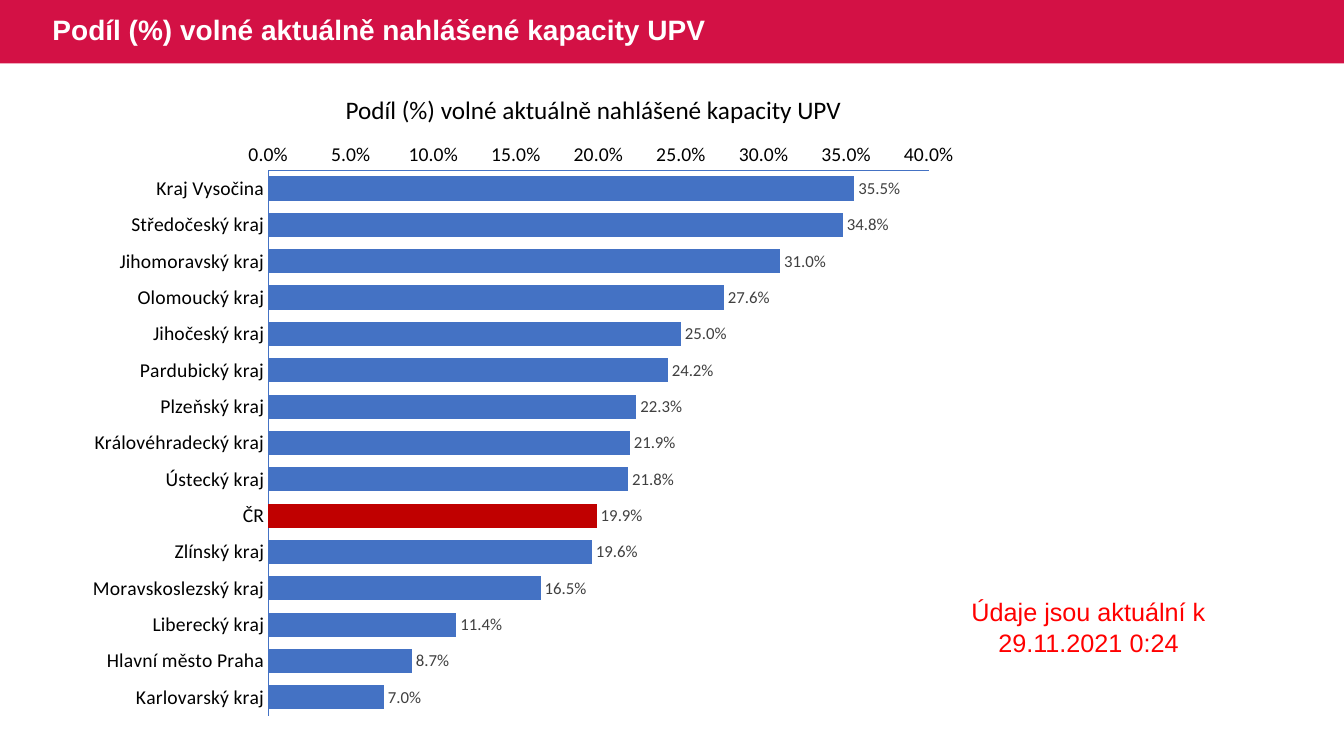
"""Build a slide showing the free reported UPV capacity by Czech region."""
from lxml import etree
from pptx import Presentation
from pptx.chart.data import CategoryChartData
from pptx.dml.color import RGBColor
from pptx.enum.chart import XL_CHART_TYPE as ChartType, XL_LABEL_POSITION as LabelPosition
from pptx.enum.chart import XL_TICK_MARK as TickMark
from pptx.enum.shapes import MSO_SHAPE as Shape
from pptx.enum.text import MSO_ANCHOR as Anchor, MSO_AUTO_SIZE as AutoSize, PP_ALIGN as Align
from pptx.oxml.ns import qn
from pptx.util import Inches, Pt

CRIMSON = RGBColor(0xD3, 0x11, 0x45)
WHITE = RGBColor(0xFF, 0xFF, 0xFF)
BLACK = RGBColor(0, 0, 0)
BLUE = RGBColor(0x44, 0x72, 0xC4)
DARK_RED = RGBColor(0xC0, 0, 0)
RED = RGBColor(0xFF, 0, 0)
GREY = RGBColor(0x40, 0x40, 0x40)

HEADING = "Podíl (%) volné aktuálně nahlášené kapacity UPV"
COUNTRY = "ČR"
FREE_SHARES = {
    "Kraj Vysočina": 0.355,
    "Středočeský kraj": 0.348,
    "Jihomoravský kraj": 0.31,
    "Olomoucký kraj": 0.276,
    "Jihočeský kraj": 0.25,
    "Pardubický kraj": 0.242,
    "Plzeňský kraj": 0.223,
    "Královéhradecký kraj": 0.219,
    "Ústecký kraj": 0.218,
    COUNTRY: 0.199,
    "Zlínský kraj": 0.196,
    "Moravskoslezský kraj": 0.165,
    "Liberecký kraj": 0.114,
    "Hlavní město Praha": 0.087,
    "Karlovarský kraj": 0.07,
}


class SlideBuilder:
    """Hold the fonts and the current slide, and add styled elements to it."""

    text_font = "Arial"
    chart_font = "Calibri"
    percent = "0.0%"

    def __init__(self, slide):
        """Keep the slide that receives the elements."""
        self.slide = slide

    def style(self, font, name, size, color, bold=False):
        """Set the typeface, size, colour and weight of a font."""
        font.name, font.size, font.bold = name, Pt(size), bold
        font.color.rgb = color

    def title(self, text, box):
        """Place and format the title placeholder."""
        heading = self.slide.shapes.title
        heading.left, heading.top, heading.width, heading.height = map(Inches, box)
        frame = heading.text_frame
        frame.auto_size = AutoSize.NONE
        frame.vertical_anchor = Anchor.MIDDLE
        line = frame.paragraphs[0]
        line.alignment, line.line_spacing = Align.LEFT, 0.9
        run = line.add_run()
        run.text = text
        self.style(run.font, self.text_font, 20, WHITE, True)

    def band(self, box, color):
        """Put a plain coloured band behind the title."""
        band = self.slide.shapes.add_shape(Shape.RECTANGLE, *map(Inches, box))
        band.shadow.inherit = False
        band.fill.solid()
        band.fill.fore_color.rgb = color
        band.line.fill.background()
        self.slide.shapes.title.element.addprevious(band.element)

    def text(self, text, box, font, color, align=Align.LEFT, wrap=True):
        """Add a one-paragraph text box."""
        frame = self.slide.shapes.add_textbox(*map(Inches, box)).text_frame
        frame.word_wrap = wrap
        frame.auto_size = AutoSize.SHAPE_TO_FIT_TEXT
        line = frame.paragraphs[0]
        line.alignment = align
        run = line.add_run()
        run.text = text
        self.style(run.font, font, 18, color)

    def axis(self, axis):
        """Give an axis its line and labels, without grid or tick marks."""
        axis.has_major_gridlines = False
        axis.major_tick_mark = axis.minor_tick_mark = TickMark.NONE
        axis.format.line.color.rgb = BLUE
        axis.format.line.width = Pt(0.75)
        self.style(axis.tick_labels.font, self.chart_font, 14, BLACK)

    def plot_layout(self, chart, **fractions):
        """Fix the inner plot area as fractions of the chart."""
        area = chart.element.find(".//" + qn("c:plotArea"))
        layout = area.find(qn("c:layout"))
        if layout is None:
            layout = etree.Element(qn("c:layout"))
            area.insert(0, layout)
        manual = etree.SubElement(layout, qn("c:manualLayout"))
        settings = {"layoutTarget": "inner", "xMode": "edge", "yMode": "edge", **fractions}
        for name, value in settings.items():
            etree.SubElement(manual, qn("c:" + name)).set("val", str(value))

    def bar_chart(self, shares, highlight, box):
        """Add a bar chart of shares with one highlighted category."""
        data = CategoryChartData(number_format=self.percent)
        data.categories = list(shares)
        data.add_series("Series 1", list(shares.values()))
        chart = self.slide.shapes.add_chart(
            ChartType.BAR_CLUSTERED, *map(Inches, box), data).chart
        chart.has_legend = chart.has_title = False
        self.style(chart.font, self.chart_font, 10, BLACK)
        self.plot_layout(chart, x=0.216, y=0.066, w=0.737, h=0.912)

        regions, scale = chart.category_axis, chart.value_axis
        self.axis(regions)
        self.axis(scale)
        regions.reverse_order = True
        scale.minimum_scale, scale.maximum_scale, scale.major_unit = 0, 0.4, 0.05
        scale.tick_labels.number_format = self.percent
        scale.tick_labels.number_format_is_linked = False

        plot = chart.plots[0]
        plot.gap_width = 50
        plot.vary_by_categories = False
        bars = plot.series[0]
        for part, color in ((bars, BLUE), (bars.points[list(shares).index(highlight)], DARK_RED)):
            part.format.fill.solid()
            part.format.fill.fore_color.rgb = color
        labels = bars.data_labels
        labels.show_value = True
        labels.position = LabelPosition.OUTSIDE_END
        labels.number_format = self.percent
        labels.number_format_is_linked = False
        self.style(labels.font, self.chart_font, 12, GREY)


def main():
    """Build and save the slide."""
    deck = Presentation()
    deck.slide_width, deck.slide_height = Inches(13.33), Inches(7.5)
    builder = SlideBuilder(deck.slides.add_slide(deck.slide_layouts.get_by_name("Title Only")))
    builder.title(HEADING, (0.42, 0, 11.56, 0.63))
    builder.band((0, 0, 13.33, 0.63), CRIMSON)
    builder.bar_chart(FREE_SHARES, COUNTRY, (0.74, 1.3, 8.89, 5.93))
    builder.text(HEADING, (3.33, 0.89, 5.17, 0.4), builder.chart_font, BLACK, wrap=False)
    builder.text("Údaje jsou aktuální k 29.11.2021 0:24", (9.52, 5.87, 2.55, 0.71),
                 builder.text_font, RED, Align.CENTER)
    deck.save("out.pptx")


if __name__ == "__main__":
    main()
